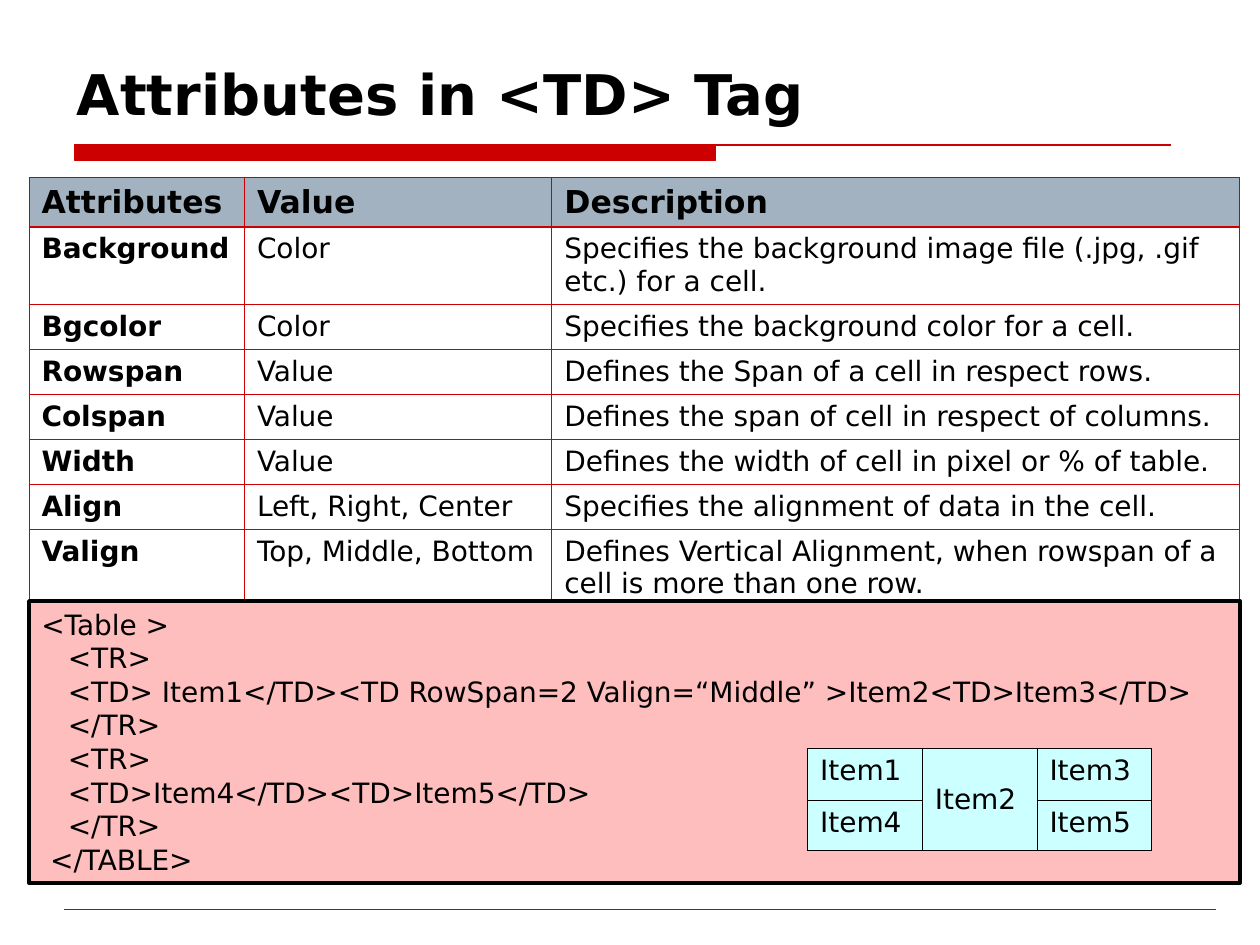
from dataclasses import dataclass

from lxml.etree import SubElement
from pptx import Presentation
from pptx.dml.color import RGBColor
from pptx.enum.shapes import MSO_CONNECTOR, MSO_SHAPE
from pptx.enum.text import MSO_ANCHOR, PP_ALIGN
from pptx.oxml import parse_xml
from pptx.oxml.ns import nsdecls, qn
from pptx.util import Inches, Pt


@dataclass(frozen=True)
class Theme:
    font: str = "DejaVu Sans"
    ink: str = "000000"
    red: str = "CC0000"
    header: str = "A3B2C1"
    code: str = "FFBEBE"
    sample: str = "CCFFFF"
    title_size: int = 32
    header_size: int = 18
    body_size: int = 16


@dataclass(frozen=True)
class Grid:
    left: float
    top: float
    columns: tuple
    rows: tuple
    border: str


@dataclass(frozen=True)
class CellStyle:
    size: int
    bold: bool = False
    fill: str | None = None
    top: float = 0.45
    bottom: float = 0.45


@dataclass(frozen=True)
class CodeLine:
    text: str
    indent: float = 0.21


THEME = Theme()
ATTRIBUTES = (
    ("Attributes", "Value", "Description"),
    ("Background", "Color", "Specifies the background image file (.jpg, .gif etc.) for a cell."),
    ("Bgcolor", "Color", "Specifies the background color for a cell."),
    ("Rowspan", "Value", "Defines the Span of a cell in respect rows."),
    ("Colspan", "Value", "Defines the span of cell in respect of columns."),
    ("Width", "Value", "Defines the width of cell in pixel or % of table."),
    ("Align", "Left, Right, Center", "Specifies the alignment of data in the cell."),
    ("Valign", "Top, Middle, Bottom",
     "Defines Vertical Alignment, when rowspan of a cell is more than one row."),
)
SAMPLE = (("Item1", "Item2", "Item3"), ("Item4", "", "Item5"))
CODE = (
    CodeLine("<Table >", 0),
    CodeLine("<TR>"),
    CodeLine("<TD> Item1</TD><TD RowSpan=2 Valign=“Middle” >Item2<TD>Item3</TD>"),
    CodeLine("</TR>"),
    CodeLine("<TR>"),
    CodeLine("<TD>Item4</TD><TD>Item5</TD>"),
    CodeLine("</TR>"),
    CodeLine("</TABLE>", 0.07),
)


def color(value: str) -> RGBColor:
    return RGBColor.from_string(value)


def set_font(para, size: int, bold: bool = False) -> None:
    para.alignment = PP_ALIGN.LEFT
    para.font.name = THEME.font
    para.font.size = Pt(size)
    para.font.bold = bold
    para.font.color.rgb = color(THEME.ink)


def set_borders(cell, border: str, style: CellStyle) -> None:
    properties = cell._tc.get_or_add_tcPr()
    widths = {"lnL": 0.45, "lnR": 0.45, "lnT": style.top, "lnB": style.bottom}
    for index, (side, width) in enumerate(widths.items()):
        properties.insert(index, parse_xml(
            f'<a:{side} {nsdecls("a")} w="{Pt(width)}"><a:solidFill>'
            f'<a:srgbClr val="{border}"/></a:solidFill></a:{side}>'))


def style_cell(cell, text: str, border: str, style: CellStyle) -> None:
    if not cell.is_spanned:
        cell.text = text
        set_font(cell.text_frame.paragraphs[0], style.size, style.bold)
    if style.fill:
        cell.fill.solid()
        cell.fill.fore_color.rgb = color(style.fill)
    else:
        cell.fill.background()
    set_borders(cell, border, style)


def add_grid(page, grid: Grid):
    table = page.shapes.add_table(
        len(grid.rows), len(grid.columns), Inches(grid.left), Inches(grid.top),
        Inches(sum(grid.columns)), Inches(sum(grid.rows))).table
    table.first_row = False
    table.horz_banding = False
    for column, width in zip(table.columns, grid.columns):
        column.width = Inches(width)
    for row, height in zip(table.rows, grid.rows):
        row.height = Inches(height)
    return table


def add_title(page) -> None:
    title = page.shapes.title
    title.left, title.top = Inches(0.51), Inches(0.36)
    title.width, title.height = Inches(9), Inches(0.7)
    title.text_frame.vertical_anchor = MSO_ANCHOR.BOTTOM
    title.text_frame.text = "Attributes in <TD> Tag"
    set_font(title.text_frame.paragraphs[0], THEME.title_size, True)


def add_rules(page) -> None:
    left, top, right, bottom = Inches(0.59), Inches(1.15), Inches(5.68), Inches(1.27)
    builder = page.shapes.build_freeform(left, top)
    builder.add_line_segments([(right, top), (right, bottom), (left, bottom)], close=True)
    builder.move_to(left, top)
    builder.add_line_segments([(Inches(9.29), top)], close=False)
    title_rule = builder.convert_to_shape()
    title_rule.shadow.inherit = False
    title_rule.fill.solid()
    title_rule.fill.fore_color.rgb = color(THEME.red)
    title_rule.line.color.rgb = color(THEME.red)
    title_rule.line.width = Pt(0.75)

    footer_rule = page.shapes.add_connector(
        MSO_CONNECTOR.STRAIGHT, Inches(0.51), Inches(7.22), Inches(9.65), Inches(7.22))
    footer_rule.line.color.rgb = color(THEME.red)
    footer_rule.line.width = Pt(0.25)
    SubElement(footer_rule._element.spPr, qn("a:effectLst"))


def add_attributes(page) -> None:
    grid = Grid(0.23, 1.41, (1.71, 2.44, 5.46),
                (0.36, 0.59, 0.33, 0.34, 0.33, 0.34, 0.34, 0.59), THEME.red)
    table = add_grid(page, grid)
    for row, texts in enumerate(ATTRIBUTES):
        for column, text in enumerate(texts):
            if row == 0:
                style = CellStyle(THEME.header_size, True, THEME.header, bottom=0.96)
            else:
                style = CellStyle(THEME.body_size, column == 0, top=0.96 if row == 1 else 0.45)
            style_cell(table.cell(row, column), text, grid.border, style)


def add_code(page) -> None:
    box = page.shapes.add_shape(
        MSO_SHAPE.RECTANGLE, Inches(0.23), Inches(4.77), Inches(9.61), Inches(2.24))
    box.shadow.inherit = False
    box.fill.solid()
    box.fill.fore_color.rgb = color(THEME.code)
    box.line.color.rgb = color(THEME.ink)
    box.line.width = Pt(2)
    frame = box.text_frame
    frame.word_wrap = True
    frame.vertical_anchor = MSO_ANCHOR.TOP
    for index, line in enumerate(CODE):
        para = frame.add_paragraph() if index else frame.paragraphs[0]
        para.text = line.text
        para._p.get_or_add_pPr().set("marL", str(Inches(line.indent)))
        set_font(para, THEME.body_size)


def add_sample(page) -> None:
    grid = Grid(6.41, 5.94, (0.91,) * 3, (0.41, 0.4), THEME.ink)
    table = add_grid(page, grid)
    table.cell(0, 1).merge(table.cell(1, 1))
    table.cell(0, 1).vertical_anchor = MSO_ANCHOR.MIDDLE
    style = CellStyle(THEME.body_size, fill=THEME.sample)
    for row, texts in enumerate(SAMPLE):
        for column, text in enumerate(texts):
            style_cell(table.cell(row, column), text, grid.border, style)


def main() -> None:
    deck = Presentation()
    deck.slide_width, deck.slide_height = Inches(10), Inches(7.5)
    page = deck.slides.add_slide(deck.slide_layouts[5])
    add_rules(page)
    add_title(page)
    add_attributes(page)
    add_code(page)
    add_sample(page)
    deck.save("out.pptx")


if __name__ == "__main__":
    main()
